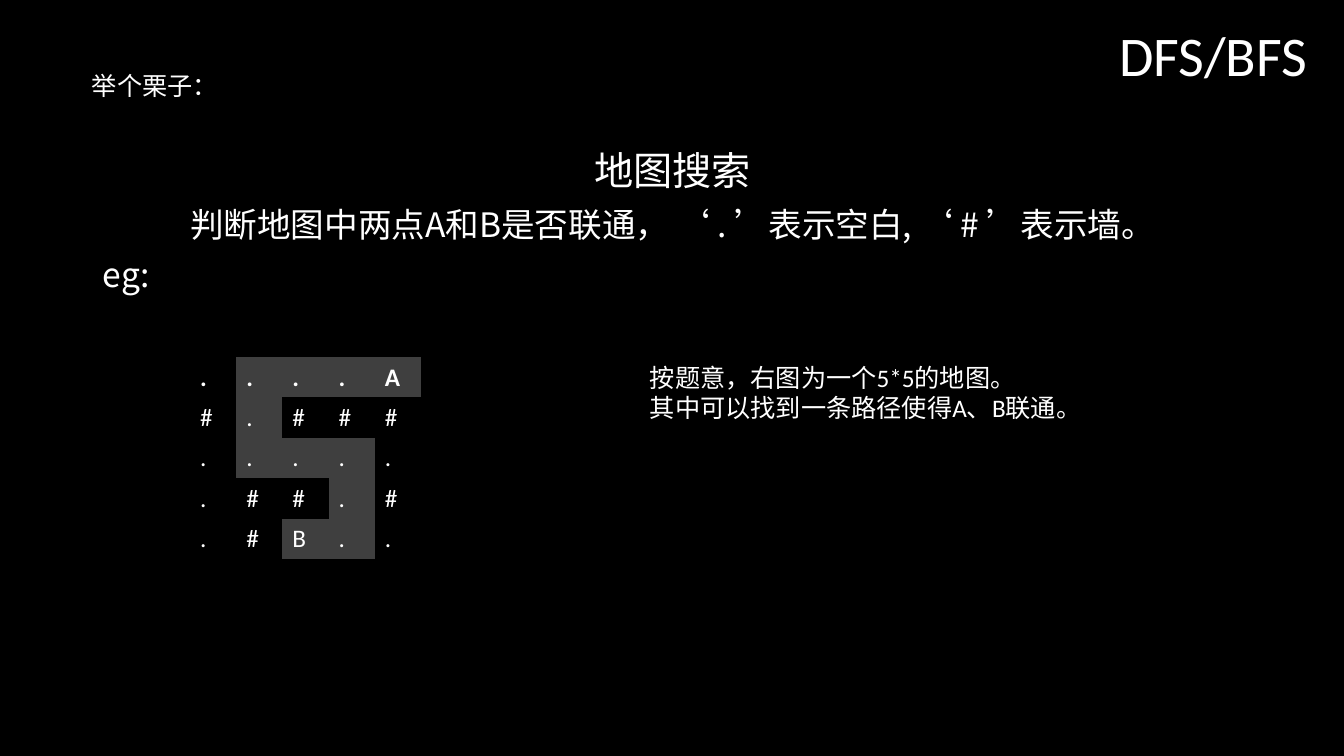
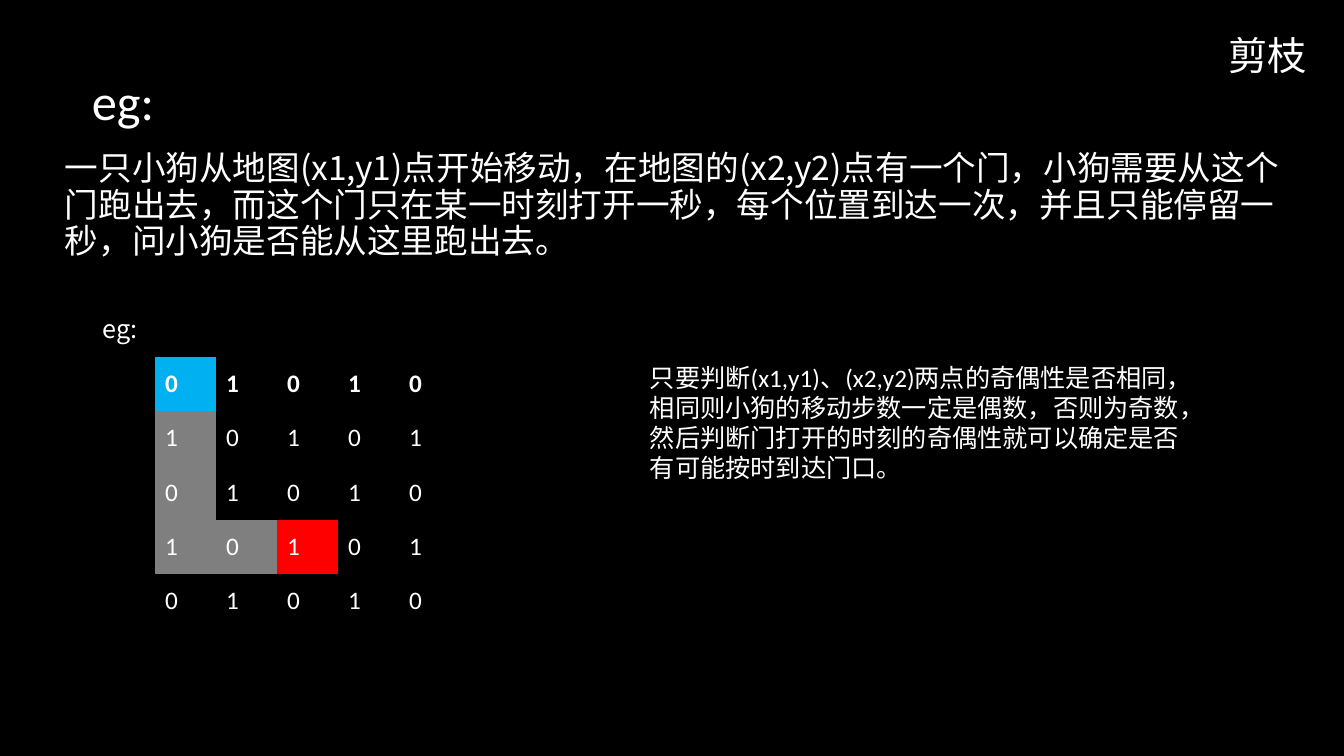
from dataclasses import dataclass

from lxml.etree import SubElement
from pptx import Presentation
from pptx.dml.color import RGBColor
from pptx.enum.text import MSO_ANCHOR, PP_ALIGN
from pptx.oxml.ns import qn
from pptx.presentation import Presentation as Deck
from pptx.slide import Slide
from pptx.text.text import TextFrame
from pptx.util import Emu, Pt

PX = 914400 / 100.8
COLORS = {
    "black": "000000", "white": "FFFFFF", "dark": "3F3F3F",
    "gray": "7F7F7F", "blue": "00B0F0", "red": "FF0000",
}
CALIBRI, NOTO = "Calibri", "Noto Sans CJK SC"
NO_GRID_STYLE = "{2D5ABB26-0587-4C30-8999-92F81FD0307C}"
TITLE_ONLY = 5


@dataclass(frozen=True)
class Box:
    """A rectangle in pixels."""
    left: int
    top: int
    width: int
    height: int

    def emu(self) -> tuple[Emu, ...]:
        """Return left, top, width and height in EMU."""
        return tuple(px(n) for n in (self.left, self.top, self.width, self.height))


@dataclass(frozen=True)
class Line:
    """One paragraph and its format."""
    text: str
    size: int = 18
    font: str = CALIBRI
    align: PP_ALIGN = PP_ALIGN.LEFT
    spacing: float = 1.0
    before: int = 0


@dataclass(frozen=True)
class Grid:
    """A map: its symbols, and a fill key for each cell."""
    box: Box
    symbols: tuple[str, ...]
    fills: tuple[str, ...]
    legend: dict[str, str]


TITLE_BOX = Box(93, 23, 1224, 70)


def px(n: float) -> Emu:
    """Turn pixels into EMU."""
    return Emu(round(n * PX))


def rgb(name: str) -> RGBColor:
    """Look up a colour by name."""
    return RGBColor.from_string(COLORS[name])


def write(tf: TextFrame, text: str, *, size: int = 18, font: str = CALIBRI,
          bold: bool = False, align: PP_ALIGN = PP_ALIGN.LEFT,
          spacing: float = 1.0, before: int = 0, first: bool = True) -> None:
    """Write one white paragraph into a text frame."""
    p = tf.paragraphs[0] if first else tf.add_paragraph()
    p.alignment, p.line_spacing, p.space_before = align, spacing, Pt(before)
    r = p.add_run()
    r.text = text
    r.font.size, r.font.name, r.font.bold = Pt(size), font, bold
    r.font.color.rgb = rgb("white")
    SubElement(r.font._element, qn("a:ea")).set("typeface", NOTO)


def add_text(s: Slide, box: Box, *lines: Line) -> None:
    """Add a wrapping text box with one paragraph per line."""
    tf = s.shapes.add_textbox(*box.emu()).text_frame
    tf.word_wrap = True
    for i, line in enumerate(lines):
        write(tf, line.text, size=line.size, font=line.font, align=line.align,
              spacing=line.spacing, before=line.before, first=i == 0)


def add_grid(s: Slide, grid: Grid) -> None:
    """Add a map as a table without lines; its first row is bold."""
    rows, cols = len(grid.symbols), len(grid.symbols[0])
    table = s.shapes.add_table(rows, cols, *grid.box.emu()).table
    table.first_row = table.horz_banding = False
    table._tbl.tblPr.find(qn("a:tableStyleId")).text = NO_GRID_STYLE
    for i, (symbols, fills) in enumerate(zip(grid.symbols, grid.fills)):
        for j, (symbol, key) in enumerate(zip(symbols, fills)):
            cell = table.cell(i, j)
            cell.vertical_anchor = MSO_ANCHOR.MIDDLE
            cell.fill.solid()
            cell.fill.fore_color.rgb = rgb(grid.legend[key])
            write(cell.text_frame, symbol, bold=i == 0)


def add_slide(prs: Deck, title: str, size: int) -> Slide:
    """Add a slide with its title at the top right."""
    s = prs.slides.add_slide(prs.slide_layouts[TITLE_ONLY])
    sp = s.shapes.title
    sp.left, sp.top, sp.width, sp.height = TITLE_BOX.emu()
    sp.text_frame.vertical_anchor = MSO_ANCHOR.MIDDLE
    write(sp.text_frame, title, size=size, align=PP_ALIGN.RIGHT, spacing=0.9)
    return s


def build_search(prs: Deck) -> None:
    """Build the map search slide."""
    s = add_slide(prs, "DFS/BFS", 40)
    add_text(
        s, Box(93, 147, 1159, 155),
        Line("地图搜索", 28, CALIBRI, PP_ALIGN.CENTER, 0.9, 10),
        Line("判断地图中两点A和B是否联通， ‘ . ’表示空白, ‘ # ’表示墙。",
             24, NOTO, PP_ALIGN.CENTER, 0.9, 10),
        Line("eg:", 24, NOTO, spacing=0.9, before=10))
    add_text(s, Box(82, 65, 173, 40), Line("举个栗子：", font=NOTO))
    add_grid(s, Grid(
        Box(190, 357, 231, 202),
        ("...A".rjust(5, "."), "#.###", ".....", ".##.#", ".#B.."),
        ("-====", "-=---", "-===-", "---=-", "--==-"),
        {"-": "black", "=": "dark"}))
    add_text(s, Box(640, 357, 564, 72),
             Line("按题意，右图为一个5*5的地图。"),
             Line("其中可以找到一条路径使得A、B联通。"))


def build_pruning(prs: Deck) -> None:
    """Build the pruning slide."""
    s = add_slide(prs, "剪枝", 28)
    add_text(s, Box(55, 147, 1236, 155), Line(
        "一只小狗从地图(x1,y1)点开始移动，在地图的(x2,y2)点有一个门，"
        "小狗需要从这个门跑出去，而这个门只在某一时刻打开一秒，"
        "每个位置到达一次，并且只能停留一秒，问小狗是否能从这里跑出去。",
        24, NOTO, spacing=0.9, before=10))
    add_text(s, Box(82, 65, 84, 72), Line("eg:", 36))
    add_text(s, Box(640, 357, 564, 132), Line(
        "只要判断(x1,y1)、(x2,y2)两点的奇偶性是否相同，"
        "相同则小狗的移动步数一定是偶数，否则为奇数，"
        "然后判断门打开的时刻的奇偶性就可以确定是否有可能按时到达门口。"))
    add_text(s, Box(93, 308, 58, 72), Line("eg:", font=NOTO))
    add_grid(s, Grid(
        Box(155, 357, 305, 271),
        tuple("01010" if i % 2 == 0 else "10101" for i in range(5)),
        ("S----", "=----", "=----", "==E--", "-----"),
        {"-": "black", "=": "gray", "S": "blue", "E": "red"}))


def main() -> None:
    """Build and save the deck."""
    prs = Presentation()
    prs.slide_width, prs.slide_height = px(1344), px(756)
    fill = prs.slide_master.background.fill
    fill.solid()
    fill.fore_color.rgb = rgb("black")
    build_search(prs)
    build_pruning(prs)
    prs.save("out.pptx")


main()
